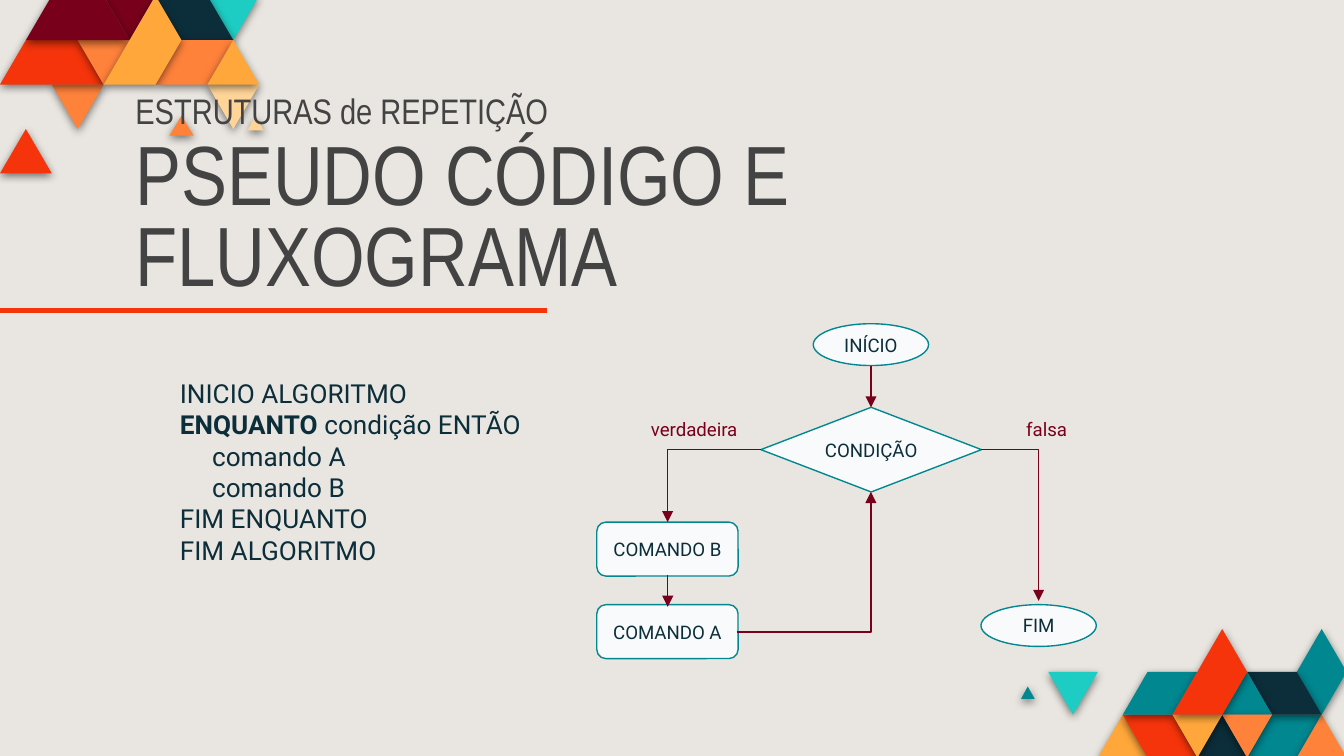
"""Build the slide on repetition structures: pseudocode beside its flowchart."""
from lxml import etree
from pptx import Presentation
from pptx import util as u
from pptx.dml import color as dml
from pptx.enum import shapes, text
from pptx.oxml import ns

COLORS = {
    "background": "E9E6E1", "title": "434343", "ink": "0C2E3A", "wine": "78001B",
    "red": "F5340B", "orange": "FF823B", "amber": "FFA73B", "cream": "FFD497",
    "teal": "018790", "turquoise": "1DCDC3", "box": "F8FAFB",
}


def rgb(name):
    return dml.RGBColor.from_string(COLORS[name])


def write(paragraph, content, size=10, color="ink", font="Roboto", bold=False,
          align=text.PP_ALIGN.CENTER):
    paragraph.alignment = align
    run = paragraph.add_run()
    run.text = content
    run.font.size = u.Pt(size)
    run.font.name = font
    run.font.bold = bold
    run.font.color.rgb = rgb(color)


presentation = Presentation()
presentation.slide_width = u.Cm(25.4)
presentation.slide_height = u.Cm(14.29)
slide = presentation.slides.add_slide(presentation.slide_layouts[6])
slide.background.fill.solid()
slide.background.fill.fore_color.rgb = rgb("background")

top_tiles = [
    ("wine", [(6, 0), (5, 1), (4, 0)]),
    ("turquoise", [(10, 0), (9, 1), (8, 0)]),
    ("ink", [(9, 1), (7, 1), (6, 0), (8, 0)]),
    ("cream", [(10, 2), (9, 3), (8, 2)]),
    ("orange", [(7.47, 3.15), (6.53, 3.15), (7, 2.7)]),
    ("cream", [(10.17, 3.03), (9.55, 3.03), (9.86, 2.7)]),
    ("orange", [(9, 1), (8, 2), (6, 2), (7, 1)]),
    ("amber", [(10, 2), (8, 2), (9, 1)]),
    ("orange", [(4, 2), (3, 3), (2, 2)]),
    ("red", [(2, 4), (0, 4), (1, 3)]),
    ("red", [(4, 2), (0, 2), (1, 1), (3, 1)]),
    ("orange", [(5, 1), (4, 2), (3, 1)]),
    ("wine", [(5, 1), (1, 1), (2, 0), (4, 0)]),
    ("amber", [(7, 1), (6, 2), (4, 2), (6, 0)]),
]
bottom_tiles = [
    ("amber", [(2, 3), (3, 2), (4, 3)]),
    ("red", [(3, 2), (5, 2), (6, 3), (4, 3)]),
    ("teal", [(8, 3), (9, 2), (11, 2), (10, 3)]),
    ("orange", [(10, 3), (11, 2), (12, 3)]),
    ("ink", [(6, 3), (7, 2), (8, 3)]),
    ("teal", [(3, 2), (4, 1), (6, 1), (5, 2)]),
    ("teal", [(-1.09, 1.63), (-0.82, 1.34), (-0.54, 1.63)]),
    ("turquoise", [(0, 1), (2, 1), (1, 2)]),
    ("teal", [(10, 1), (11, 0), (12, 1), (11, 2)]),
    ("ink", [(8, 1), (10, 1), (11, 2), (9, 2)]),
    ("teal", [(7, 2), (8, 1), (9, 2)]),
    ("orange", [(7, 2), (9, 2), (8, 3)]),
    ("amber", [(5, 2), (7, 2), (6, 3)]),
    ("red", [(5, 2), (7, 0), (8, 1), (7, 2)]),
]
mosaics = [
    (0, -0.08, 0.49, 0.84, top_tiles),
    (19.81, 11.89, 0.47, 0.81, bottom_tiles),
]
for left, top, column, row, tiles in mosaics:
    for color, corners in tiles:
        points = [(u.Cm(left + x * column), u.Cm(top + y * row)) for x, y in corners]
        builder = slide.shapes.build_freeform(*points[0])
        builder.add_line_segments(points[1:], close=True)
        tile = builder.convert_to_shape()
        tile.fill.solid()
        tile.fill.fore_color.rgb = rgb(color)
        tile.line.fill.background()
        tile.shadow.inherit = False
        effects = tile._element.spPr.find(ns.qn("a:effectLst"))
        shadow = etree.SubElement(effects, ns.qn("a:outerShdw"), blurRad="57150",
                                  dist="19050", dir="5400000", rotWithShape="0")
        shade = etree.SubElement(shadow, ns.qn("a:srgbClr"), val="000000")
        etree.SubElement(shade, ns.qn("a:alpha"), val="50000")

title = slide.shapes.add_textbox(u.Cm(2.31), u.Cm(4.24), u.Cm(19.81), u.Cm(1.6))
title.text_frame.word_wrap = True
title.text_frame.vertical_anchor = text.MSO_ANCHOR.BOTTOM
heading = title.text_frame.paragraphs[0]
heading.space_after = u.Pt(5)
for paragraph, content, size in [
    (heading, "ESTRUTURAS de REPETIÇÃO", 19),
    (title.text_frame.add_paragraph(), "PSEUDO CÓDIGO E FLUXOGRAMA", 45),
]:
    paragraph.line_spacing = 0.8
    write(paragraph, content, size=size, color="title", font="Arial Narrow",
          align=text.PP_ALIGN.LEFT)

code = slide.shapes.add_textbox(u.Cm(3.15), u.Cm(6.88), u.Cm(7.95), u.Cm(5.82))
code.text_frame.word_wrap = True
code.text_frame.margin_top = u.Cm(0.25)
code_lines = [
    (0, [("INICIO ALGORITMO", False)]),
    (0, [("ENQUANTO", True), (" condição ENTÃO", False)]),
    (0.61, [("comando A", False)]),
    (0.61, [("comando B", False)]),
    (0, [("FIM ENQUANTO", False)]),
    (0, [("FIM ALGORITMO", False)]),
]
for number, (indent, pieces) in enumerate(code_lines):
    frame = code.text_frame
    paragraph = frame.add_paragraph() if number else frame.paragraphs[0]
    paragraph._p.get_or_add_pPr().set("marL", str(u.Cm(indent)))
    for content, bold in pieces:
        write(paragraph, content, size=14, bold=bold, align=text.PP_ALIGN.LEFT)

kinds = shapes.MSO_SHAPE
nodes = [
    (kinds.FLOWCHART_CONNECTOR, "INÍCIO", 15.37, 6.12, 2.18, 0.79),
    (kinds.FLOWCHART_CONNECTOR, "FIM", 18.54, 11.43, 2.18, 0.79),
    (kinds.FLOWCHART_DECISION, "CONDIÇÃO", 14.38, 7.7, 4.17, 1.6),
    (kinds.ROUNDED_RECTANGLE, "COMANDO B", 11.28, 9.87, 2.67, 1.02),
    (kinds.ROUNDED_RECTANGLE, "COMANDO A", 11.28, 11.43, 2.67, 1.02),
]
for kind, label, *box in nodes:
    node = slide.shapes.add_shape(kind, *map(u.Cm, box))
    node.shadow.inherit = False
    node.fill.solid()
    node.fill.fore_color.rgb = rgb("box")
    node.line.color.rgb = rgb("teal")
    node.line.width = u.Pt(0.75)
    frame = node.text_frame
    frame.margin_left = frame.margin_right = frame.margin_top = frame.margin_bottom = 0
    frame.word_wrap = False
    frame.vertical_anchor = text.MSO_ANCHOR.MIDDLE
    write(frame.paragraphs[0], label)

lines = [
    ("line", "red", 2.25, False, 0, 5.87, 10.34, 5.87),
    ("line", "wine", 0.75, True, 16.46, 6.91, 16.46, 7.7),
    ("bentConnector2", "wine", 0.75, True, 14.38, 8.5, 12.62, 9.87),
    ("bentConnector2", "wine", 0.75, True, 18.54, 8.5, 19.63, 11.36),
    ("bentConnector2", "wine", 0.75, True, 13.92, 11.95, 16.46, 9.3),
    ("line", "wine", 0.75, True, 12.62, 10.86, 12.62, 11.47),
]
for geometry, color, width, arrow, *ends in lines:
    connector = slide.shapes.add_connector(shapes.MSO_CONNECTOR.STRAIGHT, *map(u.Cm, ends))
    connector.line.color.rgb = rgb(color)
    connector.line.width = u.Pt(width)
    properties = connector._element.spPr
    properties.find(ns.qn("a:prstGeom")).set("prst", geometry)
    if arrow:
        etree.SubElement(properties.find(ns.qn("a:ln")), ns.qn("a:tailEnd"), type="triangle")
    etree.SubElement(properties, ns.qn("a:effectLst"))

for label, left in [("verdadeira", 11.53), ("falsa", 18.19)]:
    branch = slide.shapes.add_textbox(u.Cm(left), u.Cm(7.65), u.Cm(3.18), u.Cm(0.94))
    branch.text_frame.word_wrap = True
    branch.text_frame.margin_top = u.Cm(0.25)
    write(branch.text_frame.paragraphs[0], label, color="wine")

presentation.save("out.pptx")
